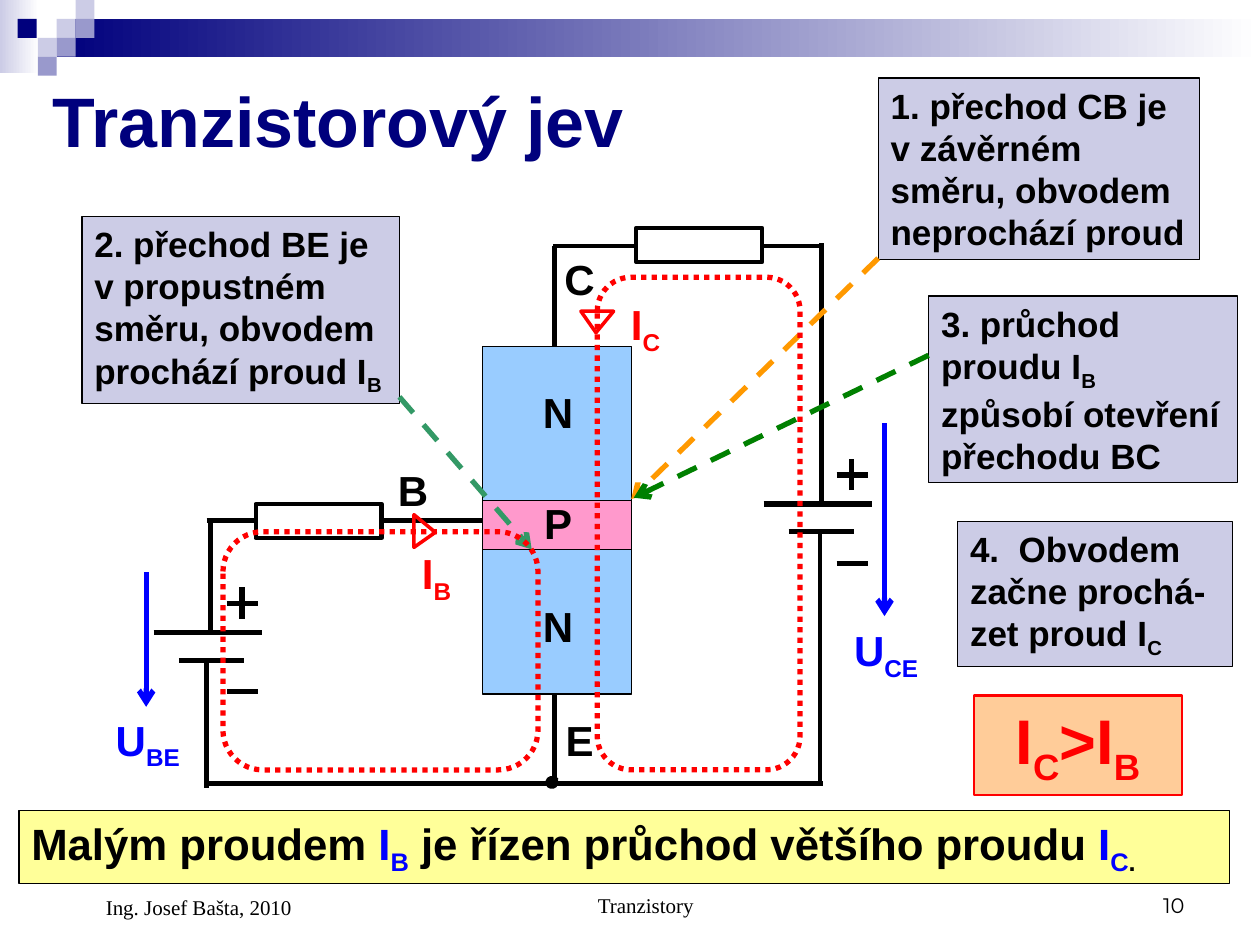
from lxml import etree
from pptx import Presentation
from pptx.dml.color import RGBColor
from pptx.enum.dml import MSO_LINE
from pptx.enum.shapes import MSO_CONNECTOR, MSO_SHAPE
from pptx.enum.text import MSO_ANCHOR, PP_ALIGN
from pptx.oxml.ns import qn
from pptx.util import Inches, Pt

RECTANGLE = MSO_SHAPE.RECTANGLE
ROUNDED = MSO_SHAPE.ROUNDED_RECTANGLE
TRIANGLE = MSO_SHAPE.ISOSCELES_TRIANGLE
STRAIGHT = MSO_CONNECTOR.STRAIGHT
DASH, DOT = MSO_LINE.DASH, MSO_LINE.ROUND_DOT
TOP, MIDDLE, BOTTOM = MSO_ANCHOR.TOP, MSO_ANCHOR.MIDDLE, MSO_ANCHOR.BOTTOM
LEFT, CENTER, RIGHT = PP_ALIGN.LEFT, PP_ALIGN.CENTER, PP_ALIGN.RIGHT

BLACK, WHITE, RED, BLUE = "000000", "FFFFFF", "FF0000", "0000FF"
NAVY, LAVENDER, VIOLET = "00007D", "CCCCE6", "9999CC"


def colour(value):
    return RGBColor.from_string(value)


def plain(text, ink=BLACK):
    return [(text, ink, False)]


def symbol(letter, index, ink=BLACK):
    return [(letter, ink, False), (index, ink, True)]


class Diagram:
    font = "Arial"
    wire_width = 2.5
    thick_width = 3

    def __init__(self, slide):
        self.slide = slide

    def shape(self, kind, box, fill=None, line=None, width=0.75, dash=None):
        shape = self.slide.shapes.add_shape(kind, *map(Inches, box))
        shape.shadow.inherit = False
        if fill:
            shape.fill.solid()
            shape.fill.fore_color.rgb = colour(fill)
        else:
            shape.fill.background()
        if line:
            self.stroke(shape.line, line, width, dash)
        else:
            shape.line.fill.background()
        return shape

    def stroke(self, line, ink, width, dash):
        line.color.rgb = colour(ink)
        line.width = Pt(width)
        if dash:
            line.dash_style = dash

    def gradient(self, box, left, right):
        shape = self.shape(RECTANGLE, box, left)
        shape.fill.gradient()
        shape.fill.gradient_angle = 180
        for stop, ink, position in zip(shape.fill.gradient_stops, (right, left), (0, 1)):
            stop.color.rgb = colour(ink)
            stop.position = position

    def line(self, start, end, ink=BLACK, width=wire_width, dash=None, head=None, tail=None):
        connector = self.slide.shapes.add_connector(STRAIGHT, *map(Inches, start + end))
        self.stroke(connector.line, ink, width, dash)
        properties = connector._element.spPr
        outline = properties.find(qn("a:ln"))
        for tag, kind in (("a:headEnd", head), ("a:tailEnd", tail)):
            if kind:
                etree.SubElement(outline, qn(tag)).set("type", kind)
        etree.SubElement(properties, qn("a:effectLst"))

    def arrow(self, start, end, ink, dash=None):
        self.line(start, end, ink, self.thick_width, dash, tail="arrow")

    def fill_text(self, shape, parts, size, align=LEFT, anchor=TOP, font=font, bold=True):
        frame = shape.text_frame
        frame.word_wrap = True
        frame.vertical_anchor = anchor
        paragraph = frame.paragraphs[0]
        paragraph.alignment = align
        for text, ink, subscript in parts:
            run = paragraph.add_run()
            run.text = text
            run.font.name = font
            run.font.size = Pt(size)
            run.font.bold = bold
            run.font.color.rgb = colour(ink)
            if subscript:
                run._r.get_or_add_rPr().set("baseline", "-25000")

    def text(self, box, parts, size=24, **style):
        shape = self.slide.shapes.add_textbox(*map(Inches, box))
        self.fill_text(shape, parts, size, **style)
        return shape

    def note(self, box, parts, size=20, fill=LAVENDER, line=BLACK, width=0.75, align=LEFT):
        self.fill_text(self.shape(RECTANGLE, box, fill, line, width), parts, size, align)

    def footer(self, box, text, align, font="Times New Roman", indent=0.34):
        shape = self.text(box, plain(text), 12, align=align, anchor=BOTTOM, font=font, bold=False)
        shape.text_frame.margin_left = Inches(indent)

    def battery(self, x, y):
        for left, top, right, bottom in (
            (0, 0, 0.86, 0),
            (0.2, 0.22, 0.72, 0.22),
            (0.7, -0.11, 0.7, -0.36),
            (0.58, -0.23, 0.83, -0.23),
            (0.58, 0.47, 0.83, 0.47),
        ):
            self.line((x + left, y + top), (x + right, y + bottom), width=self.thick_width)

    def current_loop(self, box):
        loop = self.shape(ROUNDED, box, line=RED, width=self.thick_width, dash=DOT)
        loop.adjustments[0] = 0.167

    def current_marker(self, left, top, rotation):
        marker = self.shape(TRIANGLE, (left, top, 0.26, 0.17), line=RED, width=2)
        marker.adjustments[0] = 0.54
        marker.rotation = rotation


def draw_header(diagram):
    diagram.gradient((0, 0, 0.31, 0.58), LAVENDER, WHITE)
    diagram.gradient((0.45, 0.15, 9.55, 0.3), NAVY, WHITE)
    for left, top, fill in (
        (0.45, 0.15, LAVENDER), (0.6, 0, LAVENDER), (0.6, 0.15, VIOLET),
        (0.3, 0.3, LAVENDER), (0.14, 0.15, NAVY), (0.45, 0.3, VIOLET), (0.3, 0.45, VIOLET),
    ):
        diagram.shape(RECTANGLE, (left, top, 0.15, 0.15), fill)
    diagram.text((0.32, 0.5, 5.02, 0.9), plain("Tranzistorový jev", NAVY), 40, anchor=MIDDLE)


def draw_circuit(diagram):
    for start, end in (
        ((4.39, 1.95), (5.04, 1.95)), ((6.06, 1.95), (6.52, 1.95)),
        ((1.64, 4.13), (2.04, 4.13)), ((3.03, 4.13), (4.03, 4.13)),
        ((4.4, 1.95), (4.4, 6.23)), ((1.65, 6.22), (6.53, 6.22)),
        ((6.51, 6.23), (6.51, 4.23)), ((6.52, 3.98), (6.52, 1.93)),
        ((1.67, 5), (1.67, 4.12)), ((1.64, 6.25), (1.64, 5.22)),
    ):
        diagram.line(start, end)
    diagram.line((4.38, 6.21), (4.42, 6.17), head="oval")
    diagram.shape(RECTANGLE, (3.83, 2.75, 1.18, 2.76), "99CCFF", BLACK)
    diagram.shape(RECTANGLE, (3.83, 3.97, 1.18, 0.39), "FF99CC", BLACK)
    for letter, left, top in (
        ("N", 4.21, 3.02), ("P", 4.22, 3.9), ("N", 4.21, 4.72),
        ("E", 4.39, 5.62), ("C", 4.38, 1.96), ("B", 3.06, 3.64),
    ):
        diagram.text((left, top, 0.48, 0.5), plain(letter))
    for left, top in ((5.05, 1.81), (2.03, 4)):
        diagram.shape(RECTANGLE, (left, top, 1, 0.27), line=BLACK, width=diagram.wire_width)
    diagram.battery(6.06, 4)
    diagram.battery(1.22, 5.02)
    diagram.arrow((7.02, 3.36), (7.02, 4.89), BLUE)
    diagram.arrow((1.16, 4.54), (1.16, 5.61), BLUE)
    diagram.text((6.68, 4.91, 0.81, 0.56), symbol("U", "CE", BLUE))
    diagram.text((0.82, 5.62, 0.81, 0.56), symbol("U", "BE", BLUE))


def draw_notes(diagram):
    diagram.note((6.97, 0.62, 2.55, 1.44),
                 plain("1. přechod CB je v závěrném směru, obvodem neprochází proud"))
    diagram.arrow((6.97, 2.05), (5.01, 3.96), "FF9900", DASH)
    diagram.note((0.65, 1.72, 2.52, 1.48),
                 plain("2. přechod BE je v propustném směru, obvodem prochází proud ")
                 + symbol("I", "B"))
    diagram.arrow((3.17, 3.15), (4.22, 4.36), "339966", DASH)
    diagram.note((7.37, 2.35, 2.45, 1.48),
                 plain("3. průchod proudu ") + symbol("I", "B")
                 + plain(" způsobí otevření přechodu BC"))
    diagram.arrow((7.37, 2.82), (5.03, 3.95), "008000", DASH)
    diagram.note((7.6, 4.14, 2.18, 1.15),
                 plain("4.  Obvodem začne prochá-zet proud ") + symbol("I", "C"))
    diagram.note((0.15, 6.43, 9.61, 0.58),
                 plain("Malým proudem ") + symbol("I", "B", BLUE)
                 + plain(" je řízen průchod většího proudu ") + symbol("I", "C", BLUE)
                 + [(".", BLACK, True)], 25, "FFFF99")
    diagram.note((7.73, 5.52, 1.65, 0.79),
                 symbol("I", "C", RED) + plain(">", RED) + symbol("I", "B", RED),
                 36, "FFCC99", RED, 1.25, CENTER)


def draw_currents(diagram):
    diagram.current_marker(3.24, 4.13, 90)
    diagram.text((3.25, 4.3, 0.54, 0.56), symbol("I", "B", RED))
    diagram.current_loop((1.77, 4.22, 2.5, 1.89))
    diagram.current_loop((4.74, 2.2, 1.61, 3.91))
    diagram.current_marker(4.61, 2.47, 180)
    diagram.text((4.91, 2.32, 0.53, 0.56), symbol("I", "C", RED))


def main():
    presentation = Presentation()
    presentation.slide_width = Inches(10)
    presentation.slide_height = Inches(7.5)
    diagram = Diagram(presentation.slides.add_slide(presentation.slide_layouts[6]))
    draw_header(diagram)
    draw_circuit(diagram)
    draw_notes(diagram)
    draw_currents(diagram)
    diagram.footer((3.42, 6.83, 3.17, 0.5), "Tranzistory", CENTER)
    diagram.footer((7.17, 6.83, 2.33, 0.5), "10", RIGHT, "Montserrat", 0.1)
    diagram.footer((0.5, 6.83, 2.33, 0.52), "Ing. Josef Bašta, 2010", LEFT)
    presentation.save("out.pptx")


if __name__ == "__main__":
    main()
